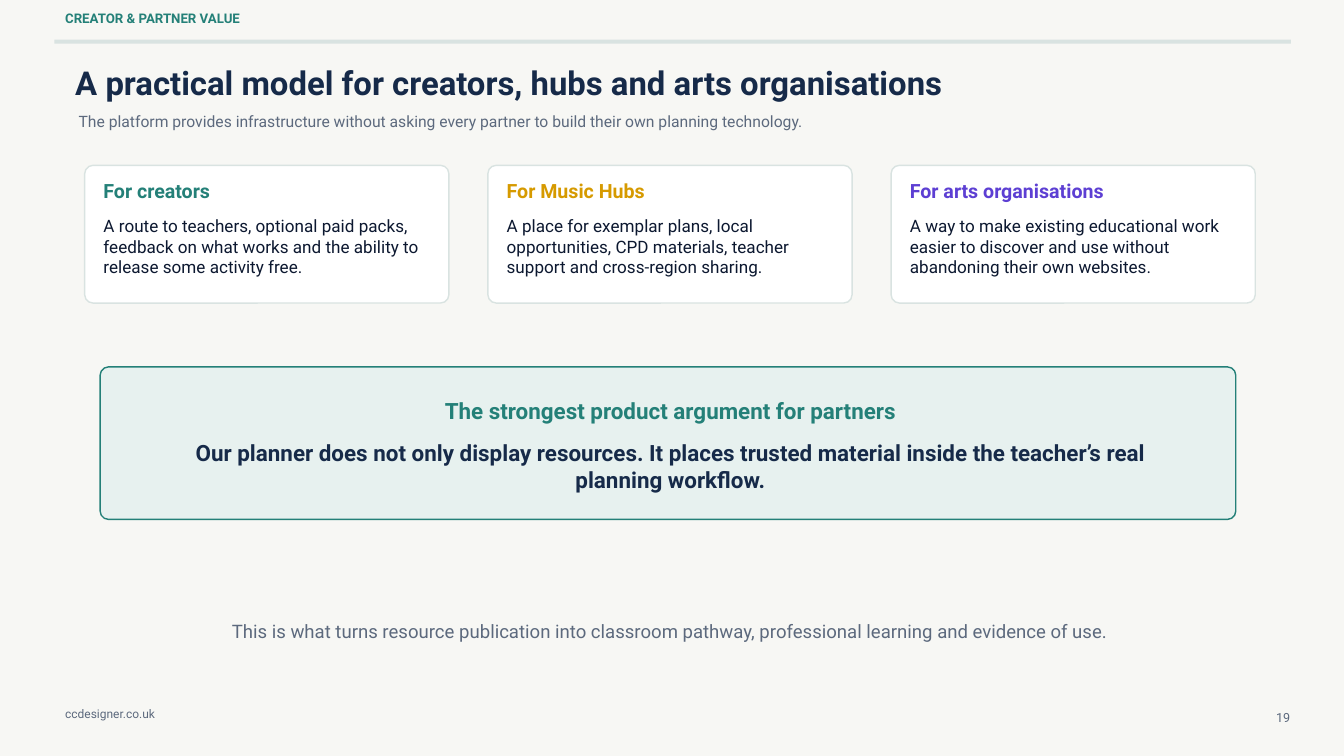
from dataclasses import dataclass

import pptx
import pptx.dml.color
import pptx.enum.shapes
import pptx.enum.text
import pptx.util

RGBColor = pptx.dml.color.RGBColor
Shapes = pptx.enum.shapes.MSO_SHAPE
Align = pptx.enum.text.PP_ALIGN

PAPER = RGBColor(0xF7, 0xF7, 0xF4)
WHITE = RGBColor(0xFF, 0xFF, 0xFF)
MIST = RGBColor(0xD9, 0xE3, 0xE1)
PALE_TEAL = RGBColor(0xE7, 0xF1, 0xEF)
TEAL = RGBColor(0x24, 0x80, 0x78)
GOLD = RGBColor(0xD6, 0x9A, 0x00)
VIOLET = RGBColor(0x5D, 0x3F, 0xD3)
NAVY = RGBColor(0x16, 0x2A, 0x49)
INK = RGBColor(0x0C, 0x18, 0x30)
SLATE = RGBColor(0x5C, 0x69, 0x7D)

FONT = "Roboto"
LEADING = 1.2
CORNER = 0.125  # panel corner radius, in grid units

# The grid has 20 columns and 11.25 rows, so its cells are square
COLUMNS, ROWS = 20, 11.25
CELL = pptx.util.Inches(1)
CARD_LEFT, CARD_PITCH = 1.26, 6


@dataclass(frozen=True)
class Area:
    column: float
    row: float
    columns: float
    rows: float

    def emu(self) -> list[int]:
        return [round(n * CELL) for n in (self.column, self.row, self.columns, self.rows)]


@dataclass(frozen=True)
class Style:
    size: float
    color: RGBColor
    bold: bool = False
    align: Align = Align.LEFT


@dataclass(frozen=True)
class Card:
    heading: str
    body: str
    accent: RGBColor


CARDS = [
    Card("For creators",
         "A route to teachers, optional paid packs, feedback on what works "
         "and the ability to release some activity free.", TEAL),
    Card("For Music Hubs",
         "A place for exemplar plans, local opportunities, CPD materials, "
         "teacher support and cross-region sharing.", GOLD),
    Card("For arts organisations",
         "A way to make existing educational work easier to discover and use "
         "without abandoning their own websites.", VIOLET),
]


def add_text(slide, area: Area, text: str, style: Style) -> None:
    frame = slide.shapes.add_textbox(*area.emu()).text_frame
    frame.word_wrap = True
    frame.margin_left = frame.margin_right = 0
    frame.margin_top = frame.margin_bottom = 0
    frame.text = text
    paragraph = frame.paragraphs[0]
    paragraph.alignment = style.align
    paragraph.line_spacing = pptx.util.Pt(style.size * LEADING)
    font = paragraph.runs[0].font
    font.name = FONT
    font.size = pptx.util.Pt(style.size)
    font.bold = style.bold
    font.color.rgb = style.color


def add_block(slide, kind: Shapes, area: Area, fill: RGBColor):
    block = slide.shapes.add_shape(kind, *area.emu())
    block.shadow.inherit = False
    block.fill.solid()
    block.fill.fore_color.rgb = fill
    block.line.fill.background()
    return block


def add_panel(slide, area: Area, fill: RGBColor, outline: RGBColor) -> None:
    panel = add_block(slide, Shapes.ROUNDED_RECTANGLE, area, fill)
    panel.adjustments[0] = CORNER / min(area.columns, area.rows)
    panel.line.color.rgb = outline
    panel.line.width = pptx.util.Pt(1.5)


def add_card(slide, left: float, card: Card) -> None:
    add_panel(slide, Area(left, 2.46, 5.42, 2.05), WHITE, MIST)
    text_left = left + 0.28
    add_text(slide, Area(text_left, 2.66, 4.86, 0.49), card.heading,
             Style(21, card.accent, bold=True))
    add_text(slide, Area(text_left, 3.21, 4.86, 1.19), card.body, Style(18.3, INK))


def main() -> None:
    deck = pptx.Presentation()
    deck.slide_width = round(COLUMNS * CELL)
    deck.slide_height = round(ROWS * CELL)
    slide = deck.slides.add_slide(deck.slide_layouts[6])
    slide.background.fill.solid()
    slide.background.fill.fore_color.rgb = PAPER

    # Header rule and section label, page number and footer
    add_block(slide, Shapes.RECTANGLE, Area(0.81, 0.59, 18.4, 0.06), MIST)
    add_text(slide, Area(0.97, 0.15, 9.3, 0.36), "CREATOR & PARTNER VALUE",
             Style(14.2, TEAL, bold=True))
    add_text(slide, Area(18.82, 10.56, 0.38, 0.31), "19",
             Style(13.5, SLATE, align=Align.RIGHT))
    add_text(slide, Area(0.97, 10.52, 3.3, 0.31), "ccdesigner.co.uk", Style(12.8, SLATE))

    # Title and subtitle
    add_text(slide, Area(1.12, 0.93, 13.8, 0.72),
             "A practical model for creators, hubs and arts organisations",
             Style(35.2, NAVY, bold=True))
    add_text(slide, Area(1.17, 1.67, 17.25, 0.34),
             "The platform provides infrastructure without asking every partner "
             "to build their own planning technology.", Style(16.8, SLATE))

    # Partner cards
    for index, card in enumerate(CARDS):
        add_card(slide, CARD_LEFT + index * CARD_PITCH, card)

    # Key argument
    add_panel(slide, Area(1.49, 5.46, 16.9, 2.27), PALE_TEAL, TEAL)
    add_text(slide, Area(1.95, 5.91, 16.05, 0.39),
             "The strongest product argument for partners",
             Style(24, TEAL, bold=True, align=Align.CENTER))
    add_text(slide, Area(2.4, 6.53, 15.15, 0.54),
             "Our planner does not only display resources. It places trusted "
             "material inside the teacher’s real planning workflow.",
             Style(24, NAVY, bold=True, align=Align.CENTER))

    # Closing line
    add_text(slide, Area(1.57, 9.22, 16.8, 0.53),
             "This is what turns resource publication into classroom pathway, "
             "professional learning and evidence of use.",
             Style(19.9, SLATE, align=Align.CENTER))

    deck.save("out.pptx")


if __name__ == "__main__":
    main()
